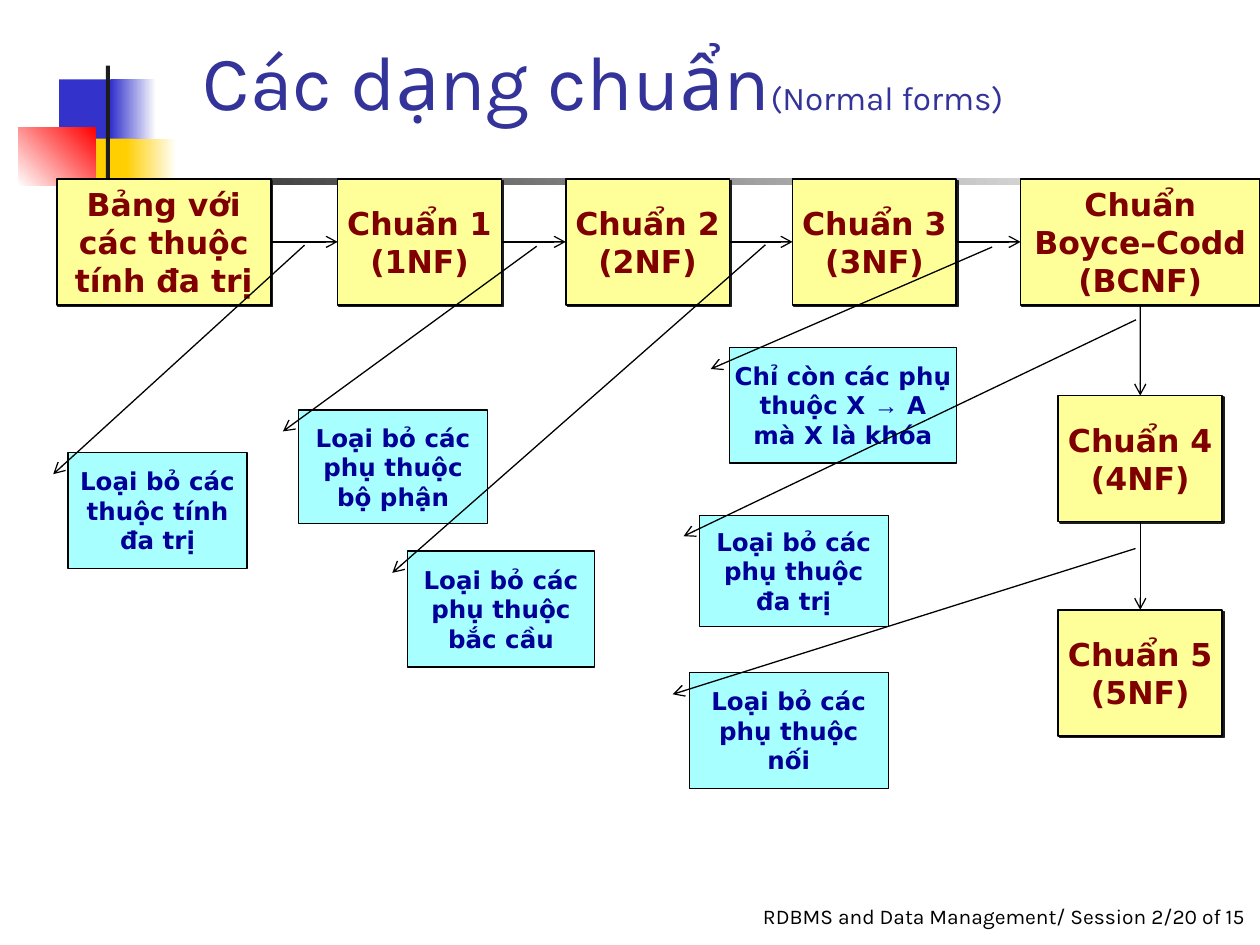
from copy import deepcopy
from dataclasses import dataclass
from itertools import pairwise

from lxml.etree import SubElement
from pptx import Presentation
from pptx.dml.color import RGBColor
from pptx.enum.shapes import MSO_CONNECTOR, MSO_SHAPE
from pptx.enum.text import MSO_ANCHOR, MSO_AUTO_SIZE, PP_ALIGN
from pptx.oxml.ns import qn
from pptx.util import Pt


@dataclass(frozen=True)
class Theme:
    heading_font: str = "Karla"
    body_font: str = "DejaVu Sans"
    symbol_font: str = "Arial"
    title_size: float = 44
    subtitle_size: float = 19
    form_size: float = 18
    callout_size: float = 14
    footer_size: float = 12
    title: str = "333399"
    blue: str = "3333CC"
    gold: str = "FFCF01"
    red: str = "FF0000"
    white: str = "FFFFFF"
    charcoal: str = "1C1C1C"
    black: str = "000000"
    form_fill: str = "FFFF99"
    form_text: str = "800000"
    callout_fill: str = "A7FFFF"
    callout_text: str = "000099"


theme = Theme()


def write_text(para, text, *, font, size, color, bold=False):
    for index, line in enumerate(text.split("\n")):
        if index:
            para.add_line_break()
        span = para.add_run()
        span.text = line
        span.font.name = font
        span.font.size = Pt(size)
        span.font.bold = bold
        span.font.color.rgb = RGBColor.from_string(color)
    for line_break in para._p.findall(qn("a:br")):
        if len(line_break) == 0:
            line_break.append(deepcopy(span.font._element))


def add_box(kind, bounds, colors, *, angle=0, outline=None, inset=0):
    box = page.shapes.add_shape(kind, *map(Pt, bounds))
    box.shadow.inherit = False
    if len(colors) == 1:
        box.fill.solid()
        box.fill.fore_color.rgb = RGBColor.from_string(colors[0])
    else:
        box.fill.gradient()
        box.fill.gradient_angle = angle
        for stop, color in zip(box.fill.gradient_stops, colors):
            stop.color.rgb = RGBColor.from_string(color)
    if outline is None:
        box.line.fill.background()
    else:
        box.line.color.rgb = RGBColor.from_string(theme.black)
        box.line.width = Pt(outline)
    frame = box.text_frame
    frame.word_wrap = True
    frame.vertical_anchor = MSO_ANCHOR.MIDDLE
    frame.margin_left = frame.margin_right = Pt(1.4)
    frame.margin_top = frame.margin_bottom = Pt(inset)
    frame.paragraphs[0].alignment = PP_ALIGN.CENTER
    return box


deck = Presentation()
deck.slide_width, deck.slide_height = Pt(720), Pt(540)
page = deck.slides.add_slide(deck.slide_layouts[5])

footer = page.shapes.add_textbox(Pt(426.24), Pt(512.64), Pt(288), Pt(38.16))
footer.text_frame.word_wrap = True
footer.text_frame.margin_right = Pt(0)
para = footer.text_frame.paragraphs[0]
para.alignment = PP_ALIGN.CENTER
write_text(para, "RDBMS and Data Management/ Session 2/20 of 15",
           font=theme.heading_font, size=theme.footer_size, color=theme.black)

ornaments = [
    ((33.84, 45.36, 34.56, 37.44), [theme.blue], 0),
    ((63.36, 45.36, 25.92, 37.44), [theme.blue, theme.white], 0),
    ((43.2, 79.2, 33.12, 37.44), [theme.gold], 0),
    ((72, 79.2, 28.8, 37.44), [theme.gold, theme.white], 0),
    ((10.4, 72.72, 44.4, 33.6), [theme.white, theme.red], 45),
    ((60.48, 37.44, 2.3, 82.8), [theme.charcoal], 0),
    ((35.28, 101.7, 684.72, 4.32), [theme.charcoal, theme.white], 0),
]
for bounds, colors, angle in ornaments:
    add_box(MSO_SHAPE.RECTANGLE, bounds, colors, angle=angle)

title = page.shapes.title
title.left, title.top, title.width, title.height = Pt(108.72), Pt(18), Pt(611.28), Pt(57.6)
title.text_frame.auto_size = MSO_AUTO_SIZE.NONE
title.text_frame.vertical_anchor = MSO_ANCHOR.BOTTOM
para = title.text_frame.paragraphs[0]
para.alignment = PP_ALIGN.LEFT
for text, size in [("Các dạng chuẩn", theme.title_size), ("(Normal forms)", theme.subtitle_size)]:
    write_text(para, text, font=theme.heading_font, size=size, color=theme.title)

row_top = 102.24
column_left = 604.8
forms = [
    ("Bảng với các thuộc tính đa trị", 32.4, row_top, 122.4),
    ("Chuẩn 1\n(1NF)", 192.96, row_top, 93.6),
    ("Chuẩn 2\n(2NF)", 323.28, row_top, 93.6),
    ("Chuẩn 3\n(3NF)", 452.88, row_top, 93.6),
    ("Chuẩn\nBoyce–Codd\n(BCNF)", 583.2, row_top, 136.8),
    ("Chuẩn 4\n(4NF)", column_left, 226.08, 93.6),
    ("Chuẩn 5\n(5NF)", column_left, 348.48, 93.6),
]
form_boxes = []
for text, left, top, width in forms:
    box = add_box(MSO_SHAPE.RECTANGLE, (left, top, width, 72), [theme.form_fill],
                  outline=1, inset=1.4)
    effects = box._element.spPr.find(qn("a:effectLst"))
    shadow = SubElement(effects, qn("a:outerShdw"), dist=str(Pt(1.4)), dir="2700000")
    SubElement(shadow, qn("a:srgbClr"), val=theme.charcoal)
    write_text(box.text_frame.paragraphs[0], text, font=theme.body_font,
               size=theme.form_size, color=theme.form_text, bold=True)
    form_boxes.append(box)

callouts = [
    ("Loại bỏ các thuộc tính\nđa trị", (38.88, 258.48, 102.24, 66.24), -1.788, 1.322),
    ("Loại bỏ các phụ thuộc\nbộ phận", (170.64, 234.36, 108, 64.8), -1.445, 1.26),
    ("Loại bỏ các phụ thuộc\nbắc cầu", (233, 314.9, 106.56, 66.24), -2.642, 1.918),
    ("Chỉ còn các phụ thuộc X → A\nmà X là khóa", (416.88, 198.4, 129.6, 66.24), -0.864, 1.158),
    ("Loại bỏ các phụ thuộc\nđa trị", (399.6, 294.48, 108, 63.36), -1.764, 2.311),
    ("Loại bỏ các phụ thuộc\nnối", (393.84, 384.3, 113.76, 66.24), -1.07, 2.242),
]
for text, bounds, target_y, target_x in callouts:
    box = add_box(MSO_SHAPE.LINE_CALLOUT_1, bounds, [theme.callout_fill],
                  outline=0.75, inset=3.6)
    for index, value in enumerate((0.188, -0.083, target_y, target_x)):
        box.adjustments[index] = value
    SubElement(box._element.spPr.find(qn("a:ln")), qn("a:headEnd"), type="arrow")
    para = box.text_frame.paragraphs[0]
    before, arrow, after = text.partition("→")
    for part, font in [(before, theme.body_font), (arrow, theme.symbol_font), (after, theme.body_font)]:
        if part:
            write_text(para, part, font=font, size=theme.callout_size,
                       color=theme.callout_text, bold=True)

for start, end in pairwise(form_boxes):
    start_side, end_side = (3, 1) if start.top == end.top else (2, 0)
    connector = page.shapes.add_connector(MSO_CONNECTOR.STRAIGHT, Pt(0), Pt(0), Pt(0), Pt(0))
    connector.begin_connect(start, start_side)
    connector.end_connect(end, end_side)
    connector.line.color.rgb = RGBColor.from_string(theme.black)
    connector.line.width = Pt(0.75)
    SubElement(connector._element.spPr.find(qn("a:ln")), qn("a:tailEnd"), type="arrow")
    SubElement(connector._element.spPr, qn("a:effectLst"))

deck.save("out.pptx")
